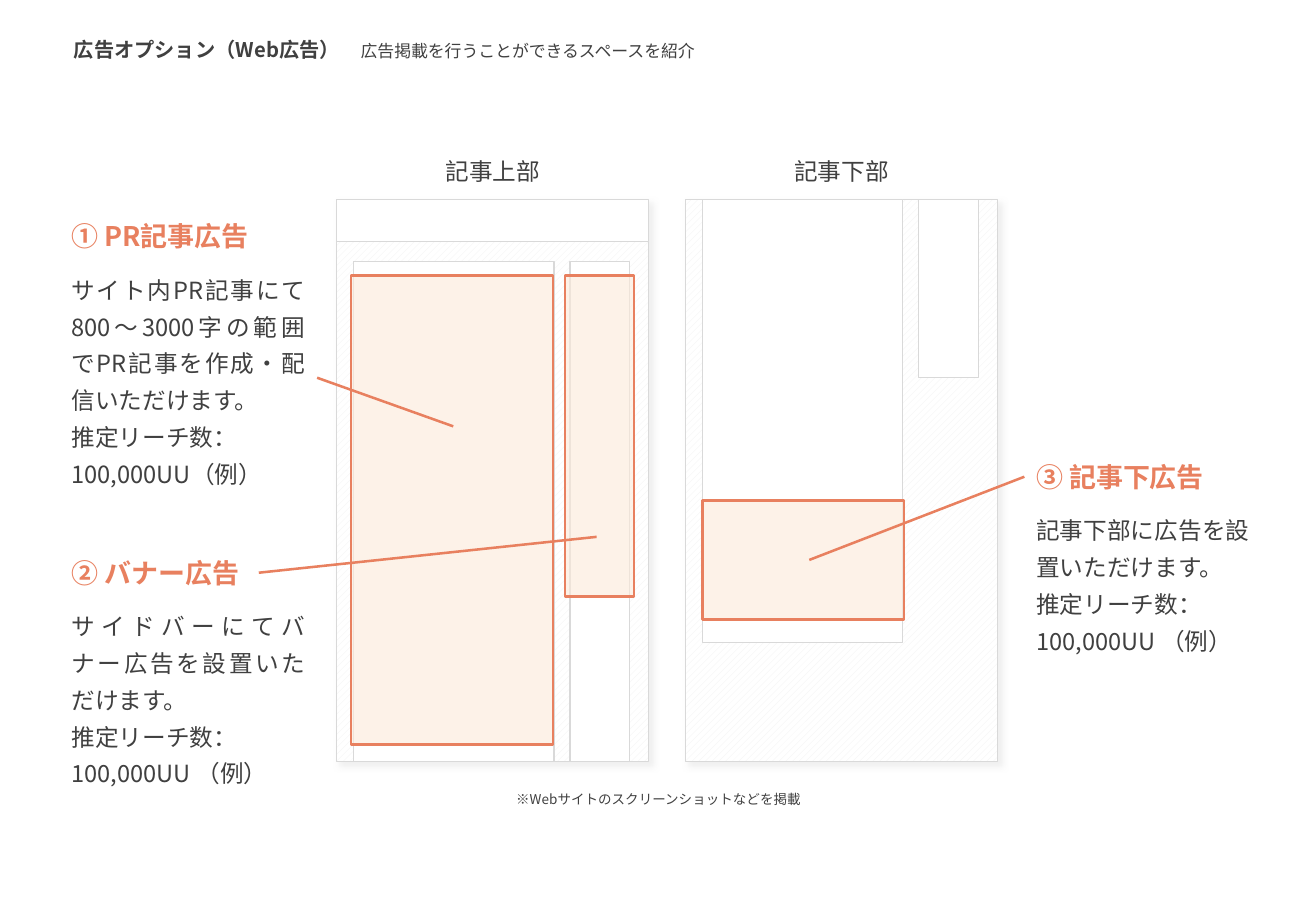
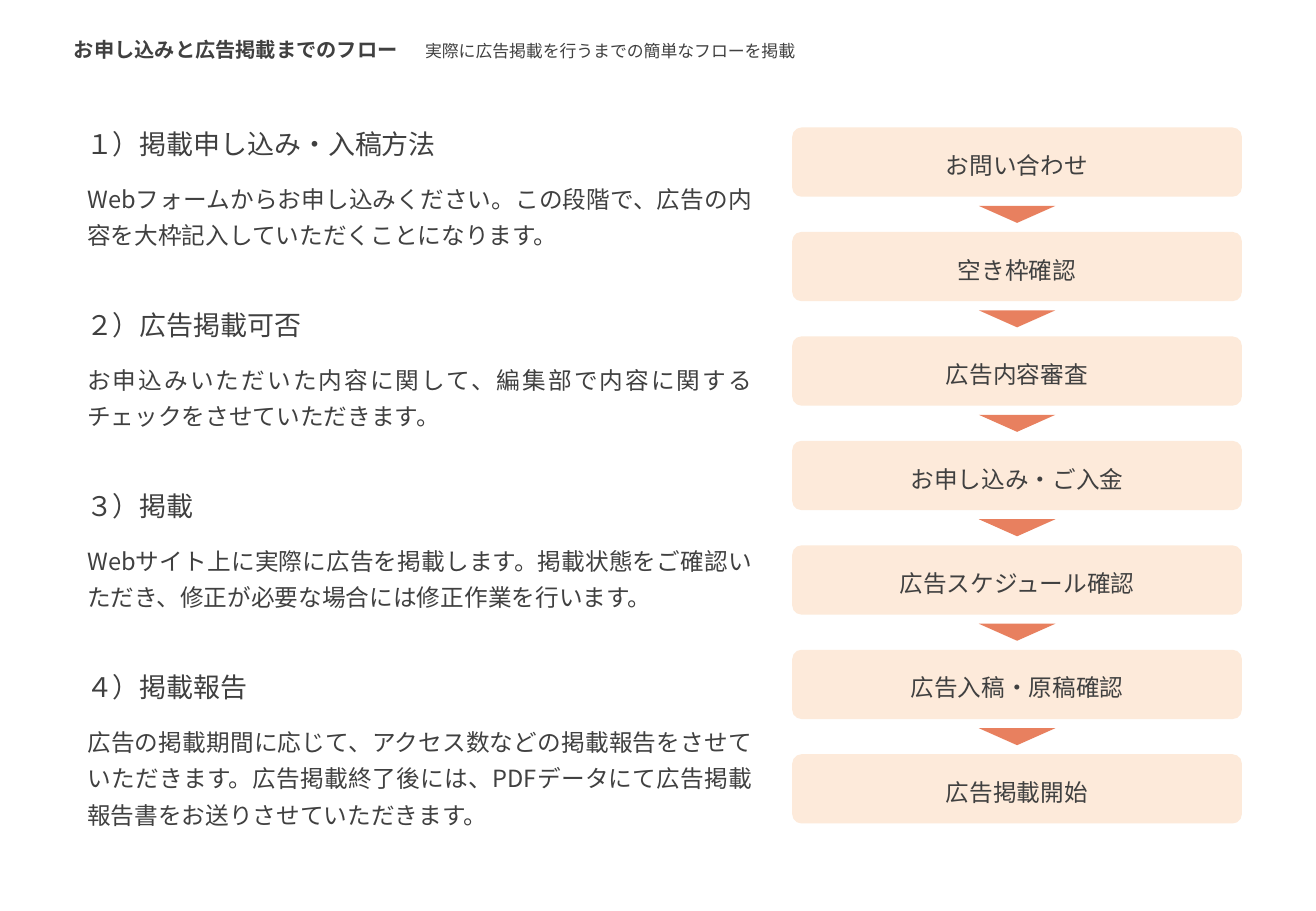
import lxml.etree
import pptx
import pptx.util
import pptx.oxml
import pptx.oxml.ns
from pptx.dml.color import RGBColor
from pptx.enum.dml import MSO_PATTERN
from pptx.enum.shapes import MSO_CONNECTOR, MSO_SHAPE
from pptx.enum.text import MSO_ANCHOR, PP_ALIGN

FONT = "Noto Sans CJK JP"
INK = RGBColor(0x40, 0x40, 0x40)
ACCENT = RGBColor(0xE8, 0x80, 0x5F)
PEACH = RGBColor(0xFD, 0xEA, 0xDA)
WHITE = RGBColor(0xFF, 0xFF, 0xFF)
RULE = RGBColor(0xD9, 0xD9, 0xD9)
HATCH = RGBColor(0xF2, 0xF2, 0xF2)
LEFT, CENTER, JUSTIFY = PP_ALIGN.LEFT, PP_ALIGN.CENTER, PP_ALIGN.JUSTIFY
TOP, MIDDLE = MSO_ANCHOR.TOP, MSO_ANCHOR.MIDDLE

HEADERS = [
    ("広告オプション（Web広告）", 2.44, 2.87, "広告掲載を行うことができるスペースを紹介"),
    ("お申し込みと広告掲載までのフロー", 2.95, 3.4, "実際に広告掲載を行うまでの簡単なフローを掲載"),
]

PAGE_TOP, PAGE_W, PAGE_H = 1.64, 2.57, 4.63
PAGES = [
    ("記事上部", 2.77, [(0.14, 0.51, 1.65, 4.12), (1.92, 0.51, 0.49, 4.12), (0, 0, 2.57, 0.35)]),
    ("記事下部", 5.64, [(0.14, 0, 1.65, 3.65), (1.92, 0, 0.49, 1.47)]),
]

ADS = [
    {"heading": "① PR記事広告", "at": (0.49, 1.76), "width": 1.78, "body_height": 1.92,
     "body": [("サイト内PR記事にて800〜3000字の範囲でPR記事を作成・配信いただけます。", JUSTIFY),
              ("推定リーチ数：100,000UU（例）", LEFT)],
     "area": (2.89, 2.27, 1.66, 3.86), "target": (3.73, 3.51), "join": ("body", 3)},
    {"heading": "② バナー広告", "at": (0.49, 4.53), "width": 1.64, "body_height": 1.61,
     "body": [("サイドバーにてバナー広告を設置いただけます。", JUSTIFY),
              ("推定リーチ数：", JUSTIFY), ("100,000UU （例）", JUSTIFY)],
     "area": (4.65, 2.27, 0.57, 2.64), "target": (4.91, 4.42), "join": ("heading", 3)},
    {"heading": "③ 記事下広告", "at": (8.43, 3.74), "width": 1.78, "body_height": 1.31,
     "body": [("記事下部に広告を設置いただけます。", LEFT),
              ("推定リーチ数：", LEFT), ("100,000UU （例）", LEFT)],
     "area": (5.78, 4.12, 1.66, 0.98), "target": (6.66, 4.61), "join": ("heading", 1)},
]
FOOTNOTE = "※Webサイトのスクリーンショットなどを掲載"

SECTIONS = [
    ("１）掲載申し込み・入稿方法",
     "Webフォームからお申し込みください。この段階で、広告の内容を大枠記入していただくことになります。"),
    ("２）広告掲載可否",
     "お申込みいただいた内容に関して、編集部で内容に関するチェックをさせていただきます。"),
    ("３）掲載",
     "Webサイト上に実際に広告を掲載します。掲載状態をご確認いただき、修正が必要な場合には修正作業を行います。"),
    ("４）掲載報告",
     "広告の掲載期間に応じて、アクセス数などの掲載報告をさせていただきます。"
     "広告掲載終了後には、PDFデータにて広告掲載報告書をお送りさせていただきます。"),
]
STEPS = ["お問い合わせ", "空き枠確認", "広告内容審査", "お申し込み・ご入金",
         "広告スケジュール確認", "広告入稿・原稿確認", "広告掲載開始"]
STEP_X, STEP_Y, STEP_W, STEP_H, STEP_PITCH = 6.52, 1.05, 3.7, 0.57, 0.86
ARROW_W, ARROW_H = 0.63, 0.14


def inches(values):
    return [pptx.util.Inches(v) for v in values]


def child(parent, tag, **attrs):
    return lxml.etree.SubElement(parent, pptx.oxml.ns.qn(tag), **attrs)


def write(tf, paragraphs, size, color=INK, bold=False, anchor=TOP, spacing=None):
    tf.word_wrap = True
    tf.vertical_anchor = anchor
    for i, (text, align) in enumerate(paragraphs):
        p = tf.add_paragraph() if i else tf.paragraphs[0]
        p.text = text
        p.alignment = align
        p.line_spacing = spacing
        p.font.size = pptx.util.Pt(size)
        p.font.bold = bold
        p.font.color.rgb = color
        p.font.name = FONT
        child(p.font._element, "a:ea", typeface=FONT)


def text_box(s, at, paragraphs, size, **style):
    box = s.shapes.add_textbox(*inches(at))
    write(box.text_frame, paragraphs, size, **style)
    return box


def shape(s, kind, at, fill=None, line=None, width=0.75):
    sp = s.shapes.add_shape(kind, *inches(at))
    sp.shadow.inherit = False
    if fill is not None:
        sp.fill.solid()
        sp.fill.fore_color.rgb = fill
    if line is None:
        sp.line.fill.background()
    else:
        sp.line.color.rgb = line
        sp.line.width = pptx.util.Pt(width)
    return sp


def page(s, label, left, blocks):
    sp = shape(s, MSO_SHAPE.RECTANGLE, (left, PAGE_TOP, PAGE_W, PAGE_H), line=RULE)
    sp.fill.patterned()
    sp.fill.pattern = MSO_PATTERN.WIDE_UPWARD_DIAGONAL
    sp.fill.fore_color.rgb = HATCH
    sp.fill.back_color.rgb = WHITE
    effects = sp._element.spPr.find(pptx.oxml.ns.qn("a:effectLst"))
    shadow = child(effects, "a:outerShdw", blurRad=str(pptx.util.Pt(4)),
                   dist=str(pptx.util.Pt(3)), dir="2700000", algn="tl", rotWithShape="0")
    child(child(shadow, "a:srgbClr", val=str(RULE)), "a:alpha", val="40000")
    for x, y, w, h in blocks:
        shape(s, MSO_SHAPE.RECTANGLE, (left + x, PAGE_TOP + y, w, h), WHITE, RULE)
    text_box(s, (left, 1.24, PAGE_W, 0.34), [(label, CENTER)], 14, anchor=MIDDLE)


def ad(s, item):
    x, y = item["at"]
    area = shape(s, MSO_SHAPE.RECTANGLE, item["area"], PEACH, ACCENT, 1.5)
    color = area._element.spPr.find(".//" + pptx.oxml.ns.qn("a:srgbClr"))
    child(color, "a:alpha", val="60000")
    boxes = {
        "heading": text_box(s, (x, y, item["width"], 0.37), [(item["heading"], LEFT)], 16,
                            color=ACCENT, bold=True, anchor=MIDDLE),
        "body": text_box(s, (x, y + 0.39, 2.12, item["body_height"]), item["body"], 14,
                         spacing=1.3),
    }
    name, site = item["join"]
    target = inches(item["target"])
    line = s.shapes.add_connector(MSO_CONNECTOR.STRAIGHT, *target, *target)
    line.begin_connect(boxes[name], site)
    line.line.color.rgb = ACCENT
    line.line.width = pptx.util.Pt(1.5)
    child(line._element.spPr, "a:effectLst")


def new_slide(prs, title, title_width, lead_left, lead):
    s = prs.slides.add_slide(prs.slide_layouts[6])
    text_box(s, (0.51, 0.26, title_width, 0.3), [(title, LEFT)], 12, bold=True)
    text_box(s, (lead_left, 0.28, 3.6, 0.27), [(lead, LEFT)], 10, anchor=MIDDLE)
    return s


def options_slide(prs):
    s = new_slide(prs, *HEADERS[0])
    for item in PAGES:
        page(s, *item)
    for item in ADS:
        ad(s, item)
    text_box(s, (4.01, 6.46, 2.82, 0.24), [(FOOTNOTE, CENTER)], 8, anchor=MIDDLE)


def flow_slide(prs):
    s = new_slide(prs, *HEADERS[1])
    for i, (heading, body) in enumerate(SECTIONS):
        y = 1 + 1.49 * i
        text_box(s, (0.61, y, 3.3, 0.37), [(heading, LEFT)], 16)
        text_box(s, (0.62, y + 0.4, 5.67, 0.71), [(body, JUSTIFY)], 14, spacing=1.3)
    for i, step in enumerate(STEPS):
        y = STEP_Y + STEP_PITCH * i
        bar = shape(s, MSO_SHAPE.ROUNDED_RECTANGLE, (STEP_X, y, STEP_W, STEP_H), PEACH)
        bar.adjustments[0] = 0.133
        bar.text_frame.margin_top = pptx.util.Inches(0.1)
        write(bar.text_frame, [(step, CENTER)], 14, anchor=MIDDLE)
        if i:
            gap = STEP_PITCH - STEP_H
            arrow = shape(s, MSO_SHAPE.ISOSCELES_TRIANGLE,
                          (STEP_X + (STEP_W - ARROW_W) / 2, y - (gap + ARROW_H) / 2,
                           ARROW_W, ARROW_H), ACCENT)
            arrow.rotation = 180


def main():
    prs = pptx.Presentation()
    prs.slide_width, prs.slide_height = inches((10.83, 7.5))
    options_slide(prs)
    flow_slide(prs)
    prs.save("out.pptx")


if __name__ == "__main__":
    main()
